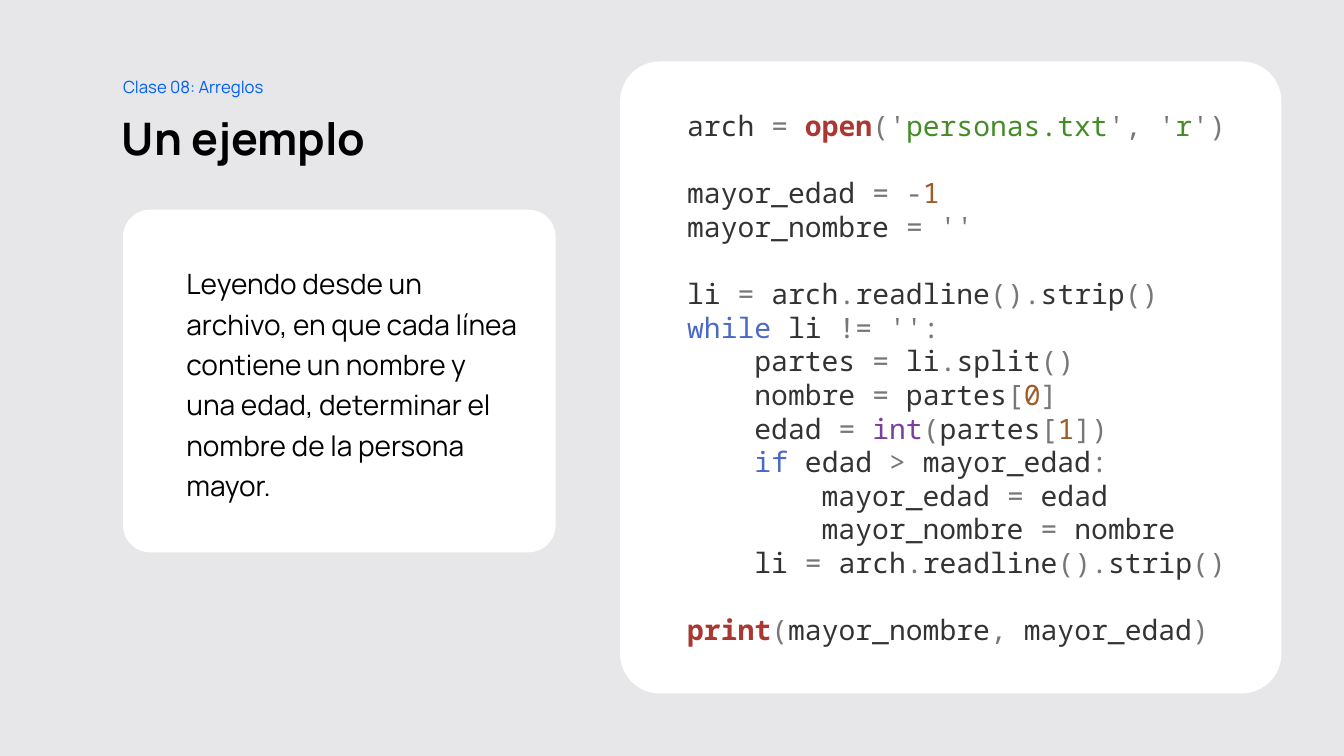
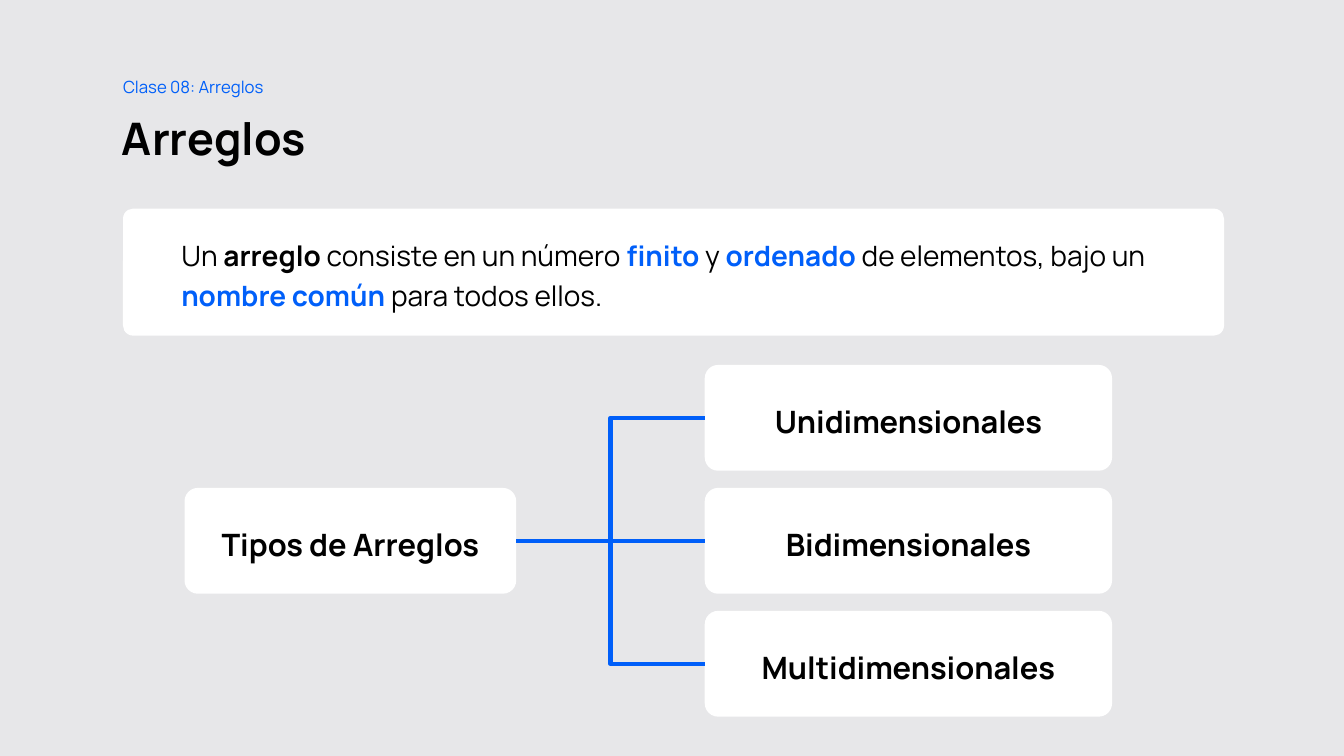
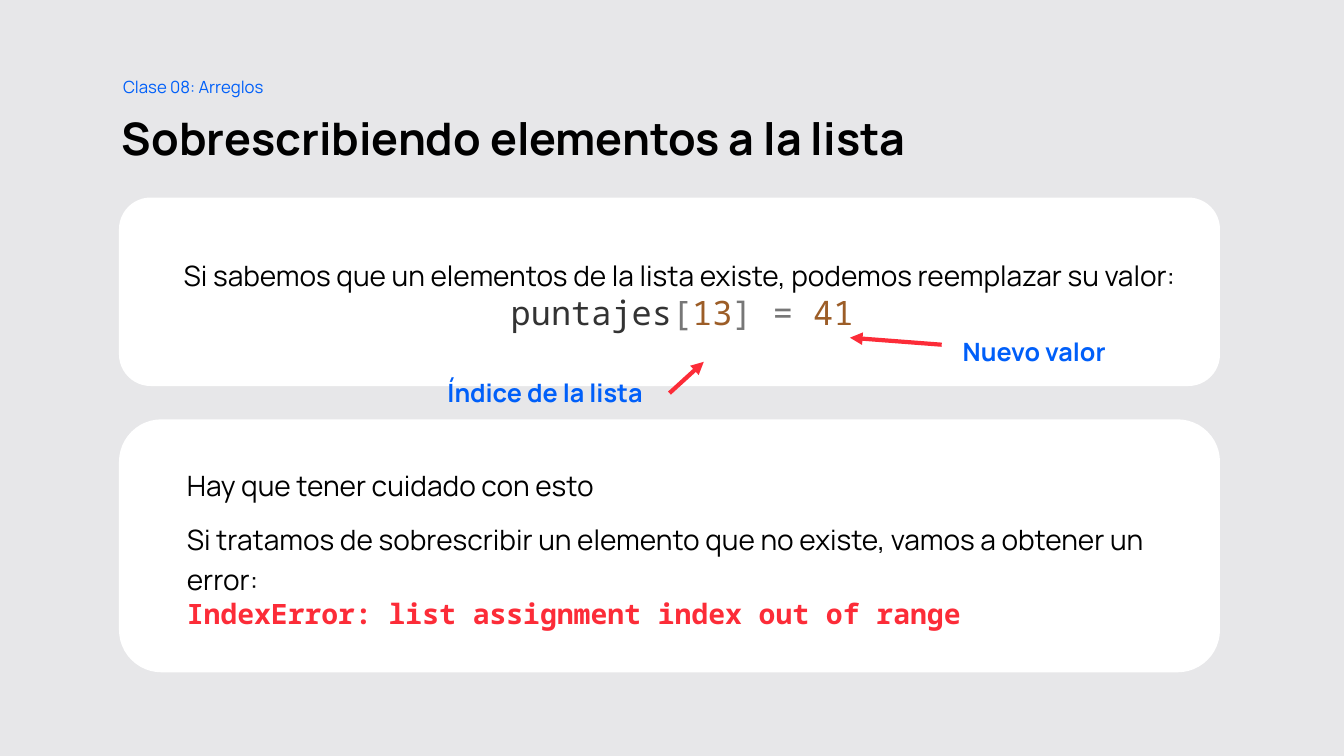
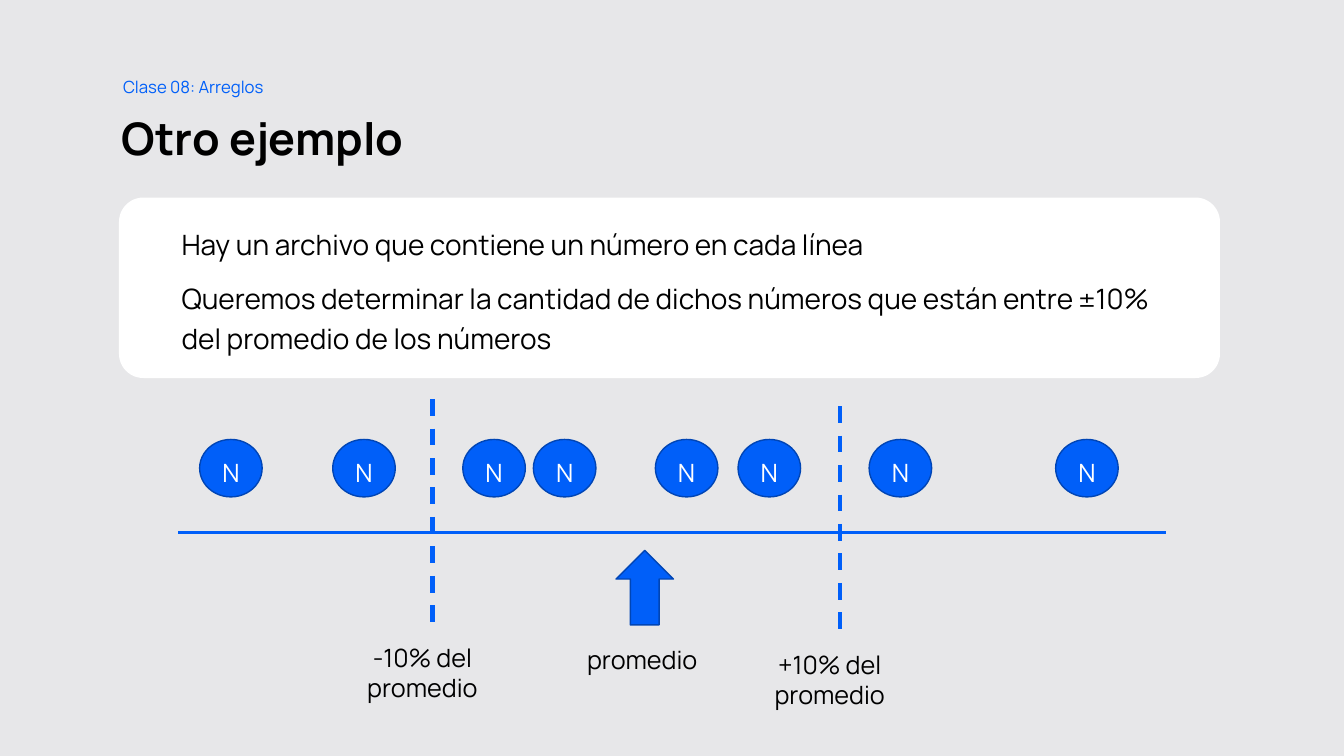
"""Build four class slides about arrays in Python."""
import pptx
import pptx.dml.color
import pptx.enum.dml
import pptx.enum.shapes
import pptx.enum.text
import pptx.oxml.ns
import pptx.util
from lxml import etree

Inches, Pt = pptx.util.Inches, pptx.util.Pt
SHAPE = pptx.enum.shapes.MSO_SHAPE
LINK = pptx.enum.shapes.MSO_CONNECTOR
ANCHOR = pptx.enum.text.MSO_ANCHOR
FIT = pptx.enum.text.MSO_AUTO_SIZE
CENTER = pptx.enum.text.PP_ALIGN.CENTER
DASH = pptx.enum.dml.MSO_LINE.DASH

GREY, WHITE, BLACK = "E7E7E9", "FFFFFF", "000000"
BLUE, NAVY, RED = "005FF9", "0045B5", "FC2C38"
INK, MARK, CALL, STRING = "333333", "777777", "AA3731", "448C27"
NUMBER, WORD, TYPE = "9C5D27", "4B69C6", "7A3E9D"
SANS, MONO = "Manrope", "Noto Sans Mono"
TOPIC = "Clase 08: Arreglos"
CARD_PAD = (0.55, 0, 0.3, 0)
TEXT_PAD = (0.1, 0.05, 0.1, 0.05)

TASK = ("Leyendo desde un archivo, en que cada línea contiene un nombre y una edad, "
        "determinar el nombre de la persona mayor.")
STRIP = [("li ", INK), ("=", MARK), (" arch", INK), (".", MARK), ("readline", INK),
         ("().", MARK), ("strip", INK), ("()", MARK)]
BLOCKS = [
    [[("arch ", INK), ("= ", MARK), ("open", CALL, True), ("('", MARK),
      ("personas.txt", STRING), ("', '", MARK), ("r", STRING), ("')", MARK)]],
    [[("mayor_edad ", INK), ("= -", MARK), ("1", NUMBER)],
     [("mayor_nombre ", INK), ("= ''", MARK)]],
    [STRIP,
     [("while", WORD), (" li ", INK), ("!= '':", MARK)],
     [("    partes ", INK), ("=", MARK), (" li", INK), (".", MARK), ("split", INK), ("()", MARK)],
     [("    nombre ", INK), ("=", MARK), (" partes", INK), ("[", MARK), ("0", NUMBER), ("]", MARK)],
     [("    edad ", INK), ("= ", MARK), ("int", TYPE), ("(", MARK), ("partes", INK),
      ("[", MARK), ("1", NUMBER), ("])", MARK)],
     [("    ", INK), ("if", WORD), (" edad ", INK), (">", MARK), (" mayor_edad", INK), (":", MARK)],
     [("        mayor_edad ", INK), ("=", MARK), (" edad", INK)],
     [("        mayor_nombre ", INK), ("=", MARK), (" nombre", INK)],
     [("    ", INK)] + STRIP],
    [[("print", CALL, True), ("(", MARK), ("mayor_nombre", INK), (",", MARK),
      (" mayor_edad", INK), (")", MARK)]],
]
MEANING = [("Un ",), ("arreglo", BLACK, True), (" consiste en un número ",),
           ("finito", BLUE, True), (" y ",), ("ordenado", BLUE, True),
           (" de elementos, bajo un ",), ("nombre común ", BLUE, True), ("para todos ellos.",)]
KINDS = ["Unidimensionales", "Bidimensionales", "Multidimensionales"]
REPLACE = "Si sabemos que un elementos de la lista existe, podemos reemplazar su valor:"
ASSIGN = [("puntajes", INK), ("[", MARK), ("13", NUMBER), ("] = ", MARK), ("41", NUMBER)]
CARE = ["Hay que tener cuidado con esto",
        "Si tratamos de sobrescribir un elemento que no existe, vamos a obtener un error:"]
ERROR = [("IndexError: list assignment index out of range", RED, True)]
HINTS = [("Índice de la lista", (4.34, 3.69, 2.3, 0.4), (6.64, 3.9, 6.98, 3.59)),
         ("Nuevo valor", (9.45, 3.29, 1.76, 0.4), (9.34, 3.42, 8.43, 3.35))]
COUNT = ["Hay un archivo que contiene un número en cada línea",
         "Queremos determinar la cantidad de dichos números que están entre ±10% "
         "del promedio de los números"]
DOTS = [1.98, 3.3, 4.59, 5.29, 6.5, 7.32, 8.62, 10.47]
LIMITS = [("-10% del promedio", 4.29, 3.96), ("+10% del promedio", 8.33, 4.03)]


def tint(code):
    return pptx.dml.color.RGBColor.from_string(code)


def place(item, box):
    item.left, item.top, item.width, item.height = map(Inches, box)


def para(runs, size=20, font=SANS, align=None, lead=1.2, before=0):
    """Describe a paragraph; runs is a string or a list of (text, colour, bold)."""
    runs = [(runs,)] if isinstance(runs, str) else runs
    return dict(runs=runs, size=size, font=font, align=align, lead=lead, before=before)


def write(item, paras, pad, anchor=ANCHOR.TOP, fit=FIT.NONE):
    frame = item.text_frame
    frame.word_wrap, frame.auto_size, frame.vertical_anchor = True, fit, anchor
    (frame.margin_left, frame.margin_top,
     frame.margin_right, frame.margin_bottom) = map(Inches, pad)
    for rank, data in enumerate(paras):
        line = frame.add_paragraph() if rank else frame.paragraphs[0]
        line.alignment = data["align"] or pptx.enum.text.PP_ALIGN.LEFT
        line.line_spacing, line.space_before = data["lead"], Pt(data["before"])
        for text, *look in data["runs"]:
            color, bold = (look + [BLACK, False][len(look):])
            run = line.add_run()
            run.text = text
            run.font.name, run.font.size = data["font"], Pt(data["size"])
            run.font.bold, run.font.color.rgb = bold, tint(color)


def label(slide, box, line, pad=TEXT_PAD):
    item = slide.shapes.add_textbox(*map(Inches, box))
    write(item, [line], pad, fit=FIT.SHAPE_TO_FIT_TEXT)


def shape(slide, kind, box, fill, edge=None):
    item = slide.shapes.add_shape(kind, *map(Inches, box))
    item.shadow.inherit = False
    item.fill.solid()
    item.fill.fore_color.rgb = tint(fill)
    if edge:
        item.line.color.rgb, item.line.width = tint(edge), Pt(1)
    else:
        item.line.fill.background()
    return item


def card(slide, box, curve, paras, pad=CARD_PAD):
    item = shape(slide, SHAPE.ROUNDED_RECTANGLE, box, WHITE)
    item.adjustments[0] = curve
    write(item, paras, pad, ANCHOR.MIDDLE)
    return item


def line(slide, ends, color=BLUE, width=3, kind=LINK.STRAIGHT, arrow=False, dash=None):
    item = slide.shapes.add_connector(kind, *map(Inches, ends))
    item.line.color.rgb, item.line.width = tint(color), Pt(width)
    if dash:
        item.line.dash_style = dash
    if arrow:
        etree.SubElement(item.line._get_or_add_ln(), pptx.oxml.ns.qn("a:tailEnd"), type="triangle")
    etree.SubElement(item._element.spPr, pptx.oxml.ns.qn("a:effectLst"))
    return item


def start(deck, title, width=10.85):
    slide = deck.slides.add_slide(deck.slide_layouts[5])
    head = slide.shapes.title
    place(head, (1.21, 1, width, 0.75))
    write(head, [para([(title, BLACK, True)], 32, lead=0.9)], (0, 0.1, 0.1, 0.05), ANCHOR.MIDDLE)
    label(slide, (1.22, 0.67, 1.61, 0.34), para([(TOPIC, BLUE)], 12), (0, 0.05, 0.1, 0.05))
    return slide


def show_code(deck):
    slide = start(deck, "Un ejemplo", 3.29)
    card(slide, (1.22, 2.08, 4.29, 3.4), 0.079, [para(TASK)])
    code = [para(row, font=MONO, lead=1, before=24 if part and not rank else 0)
            for part, block in enumerate(BLOCKS) for rank, row in enumerate(block)]
    card(slide, (6.15, 0.61, 6.56, 6.27), 0.063, code)


def show_kinds(deck):
    slide = start(deck, "Arreglos")
    card(slide, (1.22, 2.07, 10.92, 1.26), 0.079, [para(MEANING)])

    def node(text, left, top, width):
        words = para([(text, BLACK, True)], 22, align=CENTER)
        return card(slide, (left, top, width, 1.05), 0.126, [words], (0, 0, 0, 0))

    root = node("Tipos de Arreglos", 1.83, 4.84, 3.29)
    for rank, text in enumerate(KINDS):
        top = 3.62 + 1.22 * rank
        leaf = node(text, 6.99, top, 4.04)
        kind = LINK.STRAIGHT if rank == 1 else LINK.ELBOW
        branch = line(slide, (5.12, 5.36, 6.99, top + 0.52), kind=kind)
        branch.begin_connect(root, 3)
        branch.end_connect(leaf, 1)


def show_change(deck):
    slide = start(deck, "Sobrescribiendo elementos a la lista")
    card(slide, (1.18, 4.16, 10.92, 2.51), 0.168,
         [para(CARE[0]), para(CARE[1], before=10), para(ERROR, font=MONO, lead=1)])
    card(slide, (1.18, 1.96, 10.92, 1.87), 0.168,
         [para(REPLACE), para(ASSIGN, 24, MONO, CENTER, 1)])
    for text, box, ends in HINTS:
        line(slide, ends, RED, arrow=True)
        label(slide, box, para([(text, BLUE, True)], 18, lead=1))


def show_range(deck):
    slide = start(deck, "Otro ejemplo")
    card(slide, (1.18, 1.96, 10.92, 1.79), 0.135, [para(COUNT[0]), para(COUNT[1], before=10)])
    line(slide, (1.77, 5.28, 11.56, 5.28), width=2.25)
    shape(slide, SHAPE.UP_ARROW, (6.11, 5.46, 0.57, 0.74), BLUE, NAVY)
    label(slide, (5.42, 6.34, 1.9, 0.4), para("promedio", 18, align=CENTER, lead=1))
    for left in DOTS:
        dot = shape(slide, SHAPE.OVAL, (left, 4.36, 0.62, 0.57), BLUE, NAVY)
        write(dot, [para([("N", WHITE)], 18, align=CENTER, lead=1)],
              (0.1, 0.08, 0.1, 0), ANCHOR.MIDDLE)
    for text, left, top in LIMITS:
        line(slide, (left, top, left, top + 2.24), dash=DASH)
        label(slide, (left - 1.05, top + 2.36, 1.9, 0.71), para(text, 18, align=CENTER, lead=1))


def main():
    deck = pptx.Presentation()
    deck.slide_width, deck.slide_height = Inches(13.33), Inches(7.5)
    back = deck.slide_master.background.fill
    back.solid()
    back.fore_color.rgb = tint(GREY)
    for show in (show_code, show_kinds, show_change, show_range):
        show(deck)
    deck.save("out.pptx")


if __name__ == "__main__":
    main()
